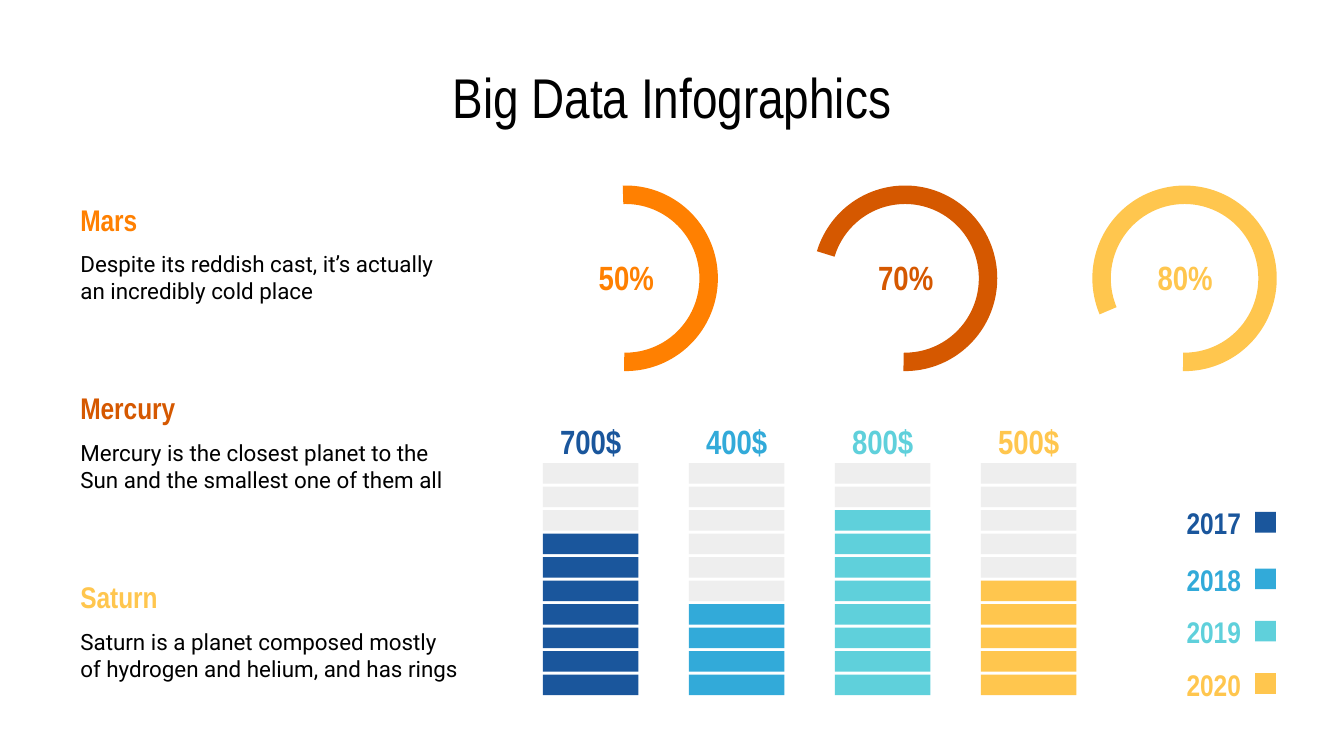
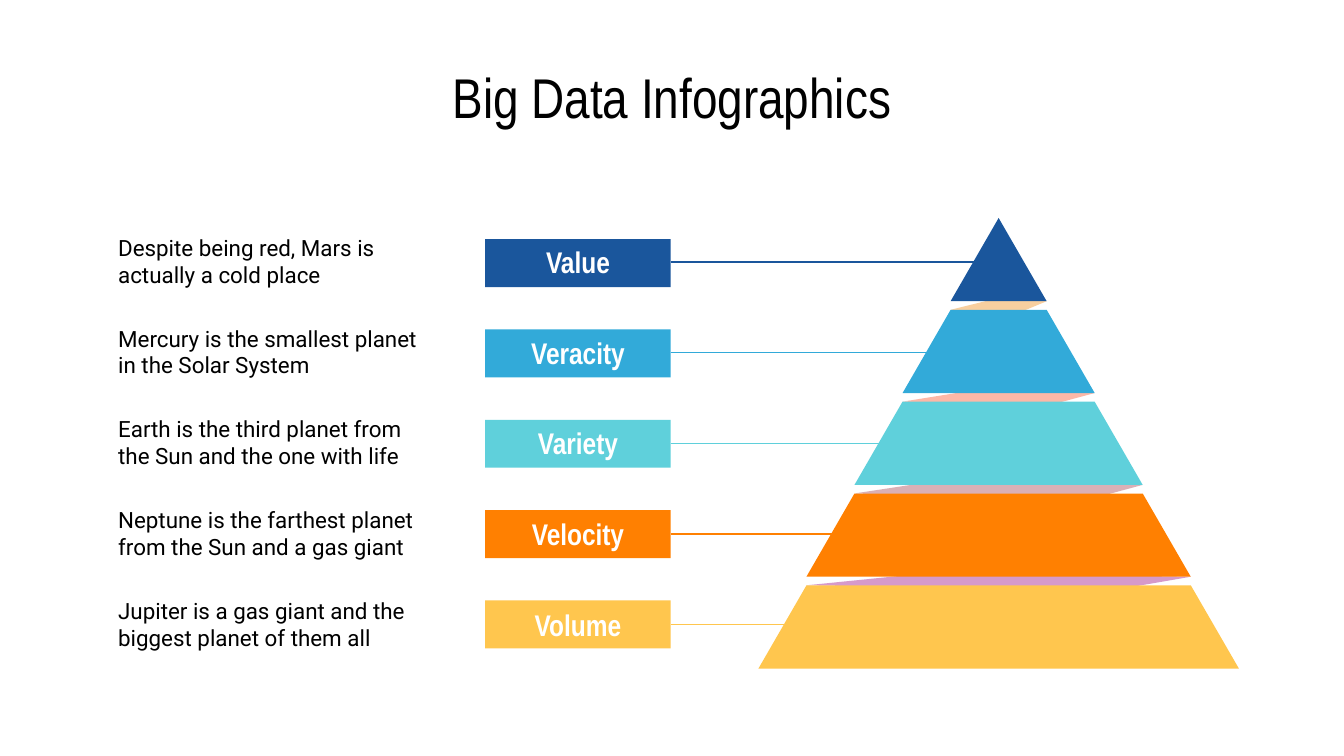
from dataclasses import dataclass
from lxml.etree import SubElement
from pptx import Presentation
from pptx.dml.color import RGBColor
from pptx.enum.shapes import MSO_CONNECTOR, MSO_SHAPE
from pptx.enum.text import MSO_ANCHOR, MSO_AUTO_SIZE, PP_ALIGN
from pptx.oxml.ns import qn
from pptx.util import Pt


@dataclass(frozen=True)
class Theme:
    navy: str = "1A569C"
    blue: str = "32AAD9"
    aqua: str = "5FD0DB"
    orange: str = "FF8001"
    rust: str = "D55800"
    yellow: str = "FFC64E"
    empty: str = "EEEEEE"
    black: str = "000000"
    white: str = "FFFFFF"
    display: str = "Arial Narrow"
    text: str = "Roboto"
    title_size: int = 30
    value_size: int = 18
    heading_size: int = 16
    body_size: int = 12
    inset: float = 7.2


theme = Theme()

TITLE = "Big Data Infographics"

PLANETS = [
    ("Mars", theme.orange, "Despite its reddish cast, it’s actually an incredibly cold place"),
    ("Mercury", theme.rust, "Mercury is the closest planet to the Sun and the smallest one of them all"),
    ("Saturn", theme.yellow, "Saturn is a planet composed mostly of hydrogen and helium, and has rings"),
]
RINGS = [
    ("50%", theme.orange, 268.2),
    ("70%", theme.rust, 197.07),
    ("80%", theme.yellow, 157.02),
]
RING_END = 91.02
YEARS = [
    ("2017", 700, theme.navy, 274.3),
    ("2018", 400, theme.blue, 304.6),
    ("2019", 800, theme.aqua, 332.6),
    ("2020", 500, theme.yellow, 360.7),
]
BLOCKS = 10

LEVELS = [
    ("Value", theme.navy, 527.8, "Despite being red, Mars is actually a cold place"),
    ("Veracity", theme.blue, 503.3, "Mercury is the smallest planet in the Solar System"),
    ("Variety", theme.aqua, 488.2, "Earth is the third planet from the Sun and the one with life"),
    ("Velocity", theme.orange, 464.4, "Neptune is the farthest planet from the Sun and a gas giant"),
    ("Volume", theme.yellow, 433.4, "Jupiter is a gas giant and the biggest planet of them all"),
]
FOLDS = [
    ("EF9121", 43, (537.1, 159.1), (543.6, 168.5)),
    ("FB8569", 58, (532.1, 207.4), (563.8, 216.7)),
    ("AC4D5B", 44, (524.9, 254.2), (579.6, 268.6)),
    ("A11686", 43, (500.4, 306.7), (596.9, 316.1)),
]


def write(box, text, size=theme.body_size, font=theme.text, color=theme.black,
          bold=False, align=PP_ALIGN.LEFT):
    frame = box.text_frame
    frame.word_wrap = True
    frame.auto_size = MSO_AUTO_SIZE.NONE
    frame.vertical_anchor = MSO_ANCHOR.MIDDLE
    frame.margin_left = frame.margin_right = Pt(theme.inset)
    frame.margin_top = frame.margin_bottom = Pt(theme.inset)
    para = frame.paragraphs[0]
    para.alignment = align
    span = para.add_run()
    span.text = text
    span.font.size = Pt(size)
    span.font.name = font
    span.font.bold = bold
    span.font.color.rgb = RGBColor.from_string(color)


def add_text(page, text, left, top, width, height, **style):
    box = page.shapes.add_textbox(Pt(left), Pt(top), Pt(width), Pt(height))
    write(box, text, **style)


def add_label(page, text, left, top, width, height, color,
              size=theme.heading_size, align=PP_ALIGN.CENTER):
    add_text(page, text, left, top, width, height, color=color, size=size,
             align=align, font=theme.display, bold=True)


def paint(shape, color, opacity=100):
    shape.shadow.inherit = False
    shape.line.fill.background()
    shape.fill.solid()
    shape.fill.fore_color.rgb = RGBColor.from_string(color)
    if opacity < 100:
        tint = shape.fill._xPr.find(qn("a:solidFill"))[0]
        SubElement(tint, qn("a:alpha")).set("val", str(opacity * 1000))


def add_preset(page, kind, left, top, width, height, color):
    shape = page.shapes.add_shape(kind, Pt(left), Pt(top), Pt(width), Pt(height))
    paint(shape, color)
    return shape


def add_polygon(page, points, color, opacity=100):
    start, *others = [(Pt(x), Pt(y)) for x, y in points]
    builder = page.shapes.build_freeform(*start)
    builder.add_line_segments(others, close=True)
    paint(builder.convert_to_shape(), color, opacity)


def add_line(page, left, right, y, color):
    line = page.shapes.add_connector(MSO_CONNECTOR.STRAIGHT, Pt(left), Pt(y), Pt(right), Pt(y))
    line.line.width = Pt(0.75)
    line.line.color.rgb = RGBColor.from_string(color)
    SubElement(line._element.spPr, qn("a:effectLst"))


def add_page(deck):
    page = deck.slides.add_slide(deck.slide_layouts[5])
    title = page.shapes.title
    title.left, title.top, title.width, title.height = Pt(36), Pt(32.4), Pt(648), Pt(38.2)
    write(title, TITLE, size=theme.title_size, font=theme.display, align=PP_ALIGN.CENTER)
    return page


def add_planets(page):
    for index, (name, color, fact) in enumerate(PLANETS):
        top = 106.6 + 101.2 * index
        add_label(page, name, 36, top, 210, 21.6, color, align=PP_ALIGN.LEFT)
        add_text(page, fact, 36, top + 19.4, 219, 44.6)


def add_rings(page):
    for index, (share, color, start) in enumerate(RINGS):
        left = 285.8 + 149.7 * index
        ring = add_preset(page, MSO_SHAPE.BLOCK_ARC, left, 99.4, 98.8, 99.4, color)
        for place, value in enumerate((start * 0.6, RING_END * 0.6, 0.1)):
            ring.adjustments[place] = value
        add_label(page, share, left + 18, 140.4, 63.4, 15.8, color, size=theme.value_size)


def add_bars(page):
    for index, (year, amount, color, key_top) in enumerate(YEARS):
        left = 290.9 + 78.2 * index
        add_label(page, f"{amount}$", left, 228.2, 51.2, 15.8, color, size=theme.value_size)
        for block in range(BLOCKS):
            filled = block >= BLOCKS - amount // 100
            add_preset(page, MSO_SHAPE.RECTANGLE, left, 248.2 + 12.58 * block, 51.2, 11,
                       color if filled else theme.empty)
        add_preset(page, MSO_SHAPE.RECTANGLE, 672.4, key_top, 11.1, 11.1, color)
        add_label(page, year, 602.8, key_top - 0.7, 69.1, 13, color, align=PP_ALIGN.RIGHT)


def add_levels(page):
    for index, (name, color, line_end, fact) in enumerate(LEVELS):
        drop = 48.6 * index
        add_preset(page, MSO_SHAPE.RECTANGLE, 259.9, 128.1 + 48.4 * index, 99.4, 25.7, color)
        add_label(page, name, 243.4, 126.8 + drop, 132.5, 26.6, theme.white)
        add_line(page, 359.3, line_end, 140.3 + drop, color)
        add_text(page, fact, 56.2, 118.8 + drop, 178.6, 41.8)


def add_pyramid(page):
    center, step, pitch, height = 535, 25.74, 49.2, 44.6
    tops = [116.8 + pitch * index for index in range(len(LEVELS))]
    for index, (color, opacity, back, front) in enumerate(FOLDS):
        half = step * (index + 1)
        corners = [back, (center - half, tops[index + 1]), front,
                   (center + half, tops[index] + height)]
        add_polygon(page, corners, color, opacity)
    for index, (top, level) in enumerate(zip(tops, LEVELS)):
        upper, lower = step * index, step * (index + 1)
        corners = [(center - upper, top), (center - lower, top + height),
                   (center + lower, top + height)]
        if upper:
            corners.append((center + upper, top))
        add_polygon(page, corners, level[1])


def main():
    deck = Presentation()
    deck.slide_width, deck.slide_height = Pt(720), Pt(405)
    data_page = add_page(deck)
    add_planets(data_page)
    add_bars(data_page)
    add_rings(data_page)
    pyramid_page = add_page(deck)
    add_levels(pyramid_page)
    add_pyramid(pyramid_page)
    deck.save("out.pptx")


if __name__ == "__main__":
    main()
